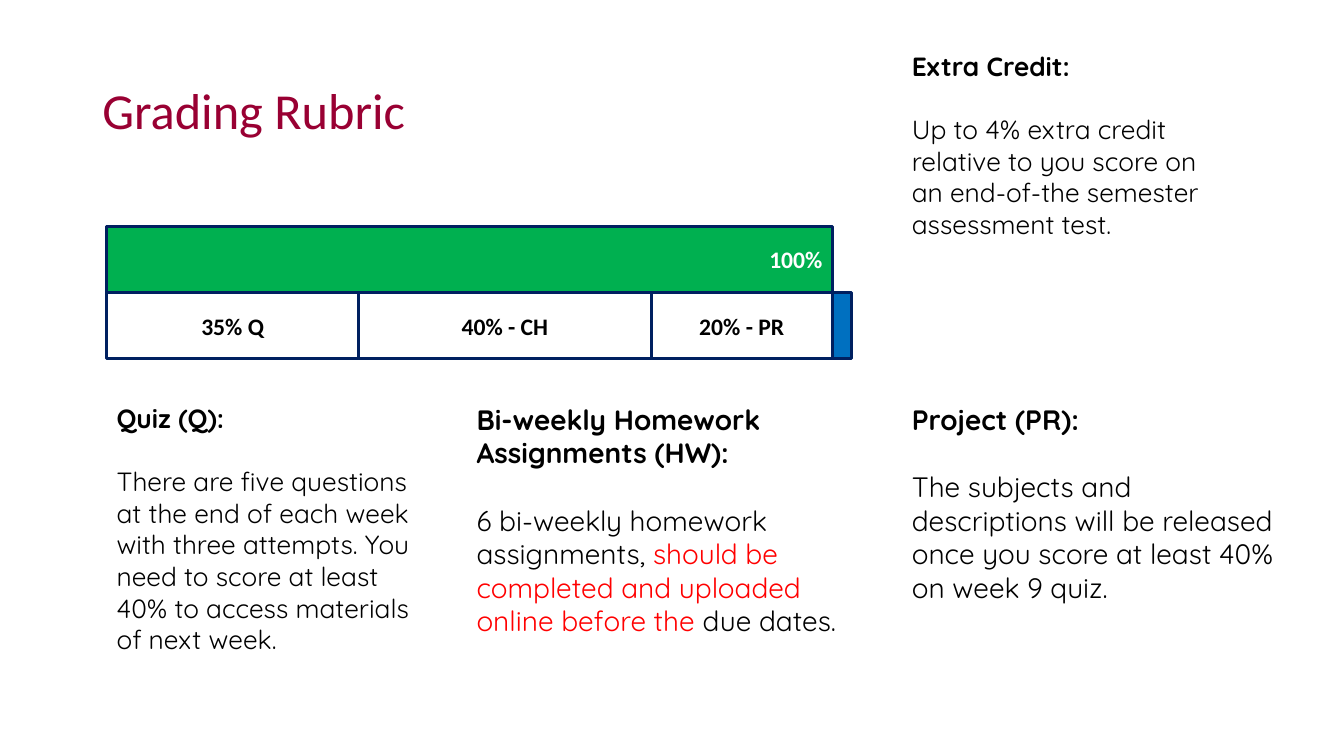
import pptx
import pptx.util
import pptx.dml.color
import pptx.enum.shapes
import pptx.enum.text

Cm = pptx.util.Cm
Pt = pptx.util.Pt
ALIGN = pptx.enum.text.PP_ALIGN
ANCHOR = pptx.enum.text.MSO_ANCHOR


def color(hex_string):
    return pptx.dml.color.RGBColor.from_string(hex_string)


def add_run(paragraph, text, size, font_name, hex_string, bold=False):
    run = paragraph.add_run()
    run.text = text
    run.font.size = Pt(size)
    run.font.name = font_name
    run.font.bold = bold
    run.font.color.rgb = color(hex_string)


presentation = pptx.Presentation()
presentation.slide_width = Cm(33.87)
presentation.slide_height = Cm(19.05)
slide = presentation.slides.add_slide(presentation.slide_layouts[6])

# Title
title = slide.shapes.add_textbox(Cm(2.33), Cm(1.01), Cm(14.6), Cm(3.68))
title.text_frame.word_wrap = True
title.text_frame.vertical_anchor = ANCHOR.MIDDLE
paragraph = title.text_frame.paragraphs[0]
paragraph.line_spacing = 0.9
add_run(paragraph, "Grading Rubric", 36, "Calibri", "990033")

# Grade bar: the total above, its parts side by side below
bar_left, bar_top, bar_height = 2.69, 5.7, 1.67
parts = [
    ("35% Q", 6.35, None),
    ("40% - CH", 7.37, None),
    ("20% - PR", 4.57, None),
    ("", 0.48, "0070C0"),
]
total_width = sum(width for label, width, fill in parts[:3])
bars = [("100%", bar_left, bar_top, total_width, "00B050", "FFFFFF", ALIGN.RIGHT)]
part_left = bar_left
for label, width, fill in parts:
    bars.append((label, part_left, bar_top + bar_height, width, fill, "000000", ALIGN.CENTER))
    part_left += width

for label, left, top, width, fill, text_color, alignment in bars:
    shape = slide.shapes.add_shape(
        pptx.enum.shapes.MSO_SHAPE.RECTANGLE, Cm(left), Cm(top), Cm(width), Cm(bar_height))
    shape.shadow.inherit = False
    if fill:
        shape.fill.solid()
        shape.fill.fore_color.rgb = color(fill)
    else:
        shape.fill.background()
    shape.line.color.rgb = color("002060")
    shape.line.width = Pt(2.25)
    if label:
        shape.text_frame.vertical_anchor = ANCHOR.MIDDLE
        paragraph = shape.text_frame.paragraphs[0]
        paragraph.alignment = alignment
        add_run(paragraph, label, 16.9, "Calibri", text_color, bold=True)

# Descriptions: left, top, width, height, text size, heading, body runs
descriptions = [
    (2.69, 10.01, 8.43, 7.62, 18.8, "Quiz (Q):", [
        ("There are five questions at the end of each week with three attempts. "
         "You need to score at least 40% to access materials of next week.", "000000")]),
    (11.76, 10.01, 10.36, 6.25, 20, "Bi-weekly Homework Assignments (HW):", [
        ("6 bi-weekly homework assignments, ", "000000"),
        ("should be completed and uploaded online before the", "FF0000"),
        (" due dates.", "000000")]),
    (22.73, 10.01, 9.93, 5.38, 20, "Project (PR):", [
        ("The subjects and descriptions will be released once you score "
         "at least 40% on week 9 quiz.", "000000")]),
    (22.73, 1.14, 8.43, 6.22, 18.8, "Extra Credit:", [
        ("Up to 4% extra credit relative to you score on an end-of-the semester "
         "assessment test.", "000000")]),
]
for left, top, width, height, size, heading, body in descriptions:
    box = slide.shapes.add_textbox(Cm(left), Cm(top), Cm(width), Cm(height))
    box.text_frame.word_wrap = True
    add_run(box.text_frame.paragraphs[0], heading, size, "Quicksand", "000000", bold=True)
    paragraph = box.text_frame.add_paragraph()
    paragraph.space_before = Pt(round(size * 1.2, 1))
    for text, text_color in body:
        add_run(paragraph, text, size, "Quicksand", text_color)

presentation.save("out.pptx")
